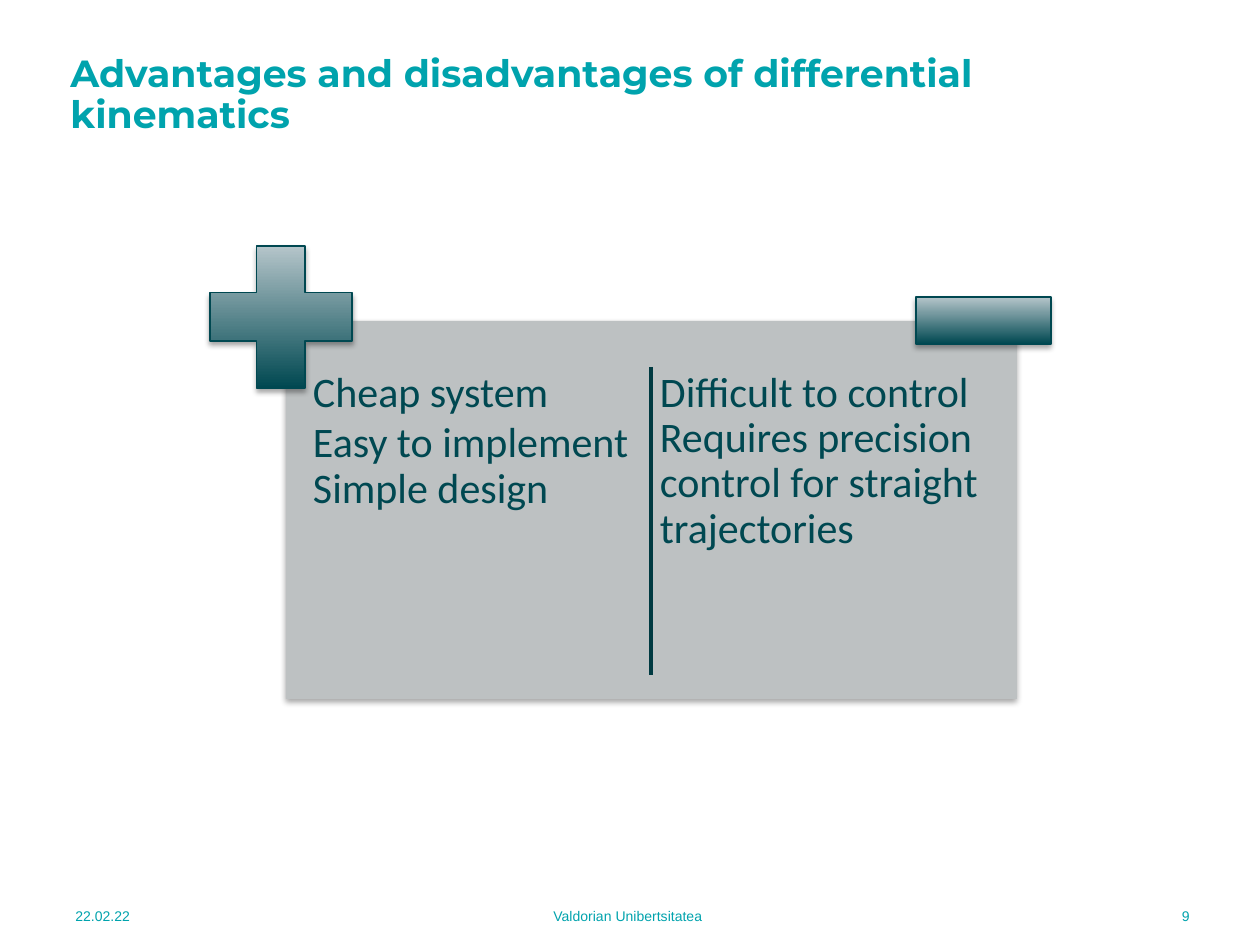
from dataclasses import dataclass

import pptx
import pptx.dml.color
import pptx.enum.shapes
import pptx.enum.text
import pptx.oxml
import pptx.oxml.ns
import pptx.util

PX = 914400 / 126
HUES = {"teal": "00A3AD", "deep": "004851", "rule": "003A41",
        "pale": "B5C5CA", "panel": "BDC1C2"}
KIND = pptx.enum.shapes.MSO_SHAPE
ALIGN = pptx.enum.text.PP_ALIGN
ANCHOR = pptx.enum.text.MSO_ANCHOR
SHADOW = (
    f'<a:outerShdw {pptx.oxml.ns.nsdecls("a")} blurRad="39370" dist="22860" '
    'dir="5400000" rotWithShape="0"><a:srgbClr val="000000">'
    '<a:alpha val="35000"/></a:srgbClr></a:outerShdw>'
)


@dataclass
class Box:
    left: int
    top: int
    width: int
    height: int


@dataclass
class Sign:
    kind: KIND
    box: Box


@dataclass
class Foot:
    text: str
    box: Box
    align: ALIGN


@dataclass
class Column:
    lines: list[str]
    left: int


def emu(size: int) -> int:
    return round(size * PX)


def place(box: Box) -> list[int]:
    return [emu(n) for n in (box.left, box.top, box.width, box.height)]


def hue(name: str) -> pptx.dml.color.RGBColor:
    return pptx.dml.color.RGBColor.from_string(HUES[name])


def write(slide, lines: list[str], box: Box, *, size: float, font: str,
          color: str, bold: bool = False, align: ALIGN = ALIGN.LEFT,
          anchor: ANCHOR = ANCHOR.MIDDLE, inset: int | None = None,
          pitch: float = 1.0, after: float = 0) -> None:
    frame = slide.shapes.add_textbox(*place(box)).text_frame
    frame.word_wrap = True
    frame.vertical_anchor = anchor
    if inset is not None:
        frame.margin_left = frame.margin_right = emu(inset)
        frame.margin_top = frame.margin_bottom = emu(inset)
    frame.text = "\n".join(lines)
    for par in frame.paragraphs:
        par.alignment = align
        par.line_spacing = pitch
        par.space_after = pptx.util.Pt(after)
        for run in par.runs:
            run.font.size = pptx.util.Pt(size)
            run.font.name = font
            run.font.bold = bold
            run.font.color.rgb = hue(color)


def shape(slide, kind: KIND, box: Box):
    item = slide.shapes.add_shape(kind, *place(box))
    item.shadow.inherit = False
    glow = item.element.spPr.find(pptx.oxml.ns.qn("a:effectLst"))
    glow.append(pptx.oxml.parse_xml(SHADOW))
    return item


def panel(slide, box: Box) -> None:
    item = shape(slide, KIND.RECTANGLE, box)
    item.fill.solid()
    item.fill.fore_color.rgb = hue("panel")
    item.line.fill.background()


def sign(slide, mark: Sign) -> None:
    item = shape(slide, mark.kind, mark.box)
    if mark.kind == KIND.CROSS:
        item.adjustments[0] = 0.33
    item.fill.gradient()
    item.fill.gradient_angle = 90
    for stop, name, spot in zip(item.fill.gradient_stops, ("deep", "pale"), (0, 1)):
        stop.color.rgb = hue(name)
        stop.position = spot
    item.line.color.rgb = hue("deep")
    item.line.width = pptx.util.Pt(0.75)


def rule(slide, x: int, top: int, bottom: int) -> None:
    line = slide.shapes.add_connector(
        pptx.enum.shapes.MSO_CONNECTOR.STRAIGHT,
        emu(x), emu(top), emu(x), emu(bottom))
    line.line.color.rgb = hue("rule")
    line.line.width = pptx.util.Pt(2)
    line.element.spPr.append(pptx.oxml.parse_xml(
        f'<a:effectLst {pptx.oxml.ns.nsdecls("a")}/>'))


FEET = [
    Foot("22.02.22", Box(63, 891, 163, 50), ALIGN.LEFT),
    Foot("Valdorian Unibertsitatea", Box(299, 891, 658, 50), ALIGN.CENTER),
    Foot("9", Box(1041, 891, 161, 50), ALIGN.RIGHT),
]
COLUMNS = [
    Column(["Cheap system", "Easy to implement\vSimple design"], 307),
    Column(["Difficult to control\vRequires precision control "
            "for straight trajectories"], 654),
]
SIGNS = [
    Sign(KIND.CROSS, Box(210, 246, 142, 142)),
    Sign(KIND.RECTANGLE, Box(916, 297, 135, 47)),
]


def main() -> None:
    deck = pptx.Presentation()
    deck.slide_width, deck.slide_height = emu(1260), emu(945)
    slide = deck.slides.add_slide(deck.slide_layouts[6])
    for foot in FEET:
        write(slide, [foot.text], foot.box, size=8, font="Arial",
              color="teal", align=foot.align)
    write(slide, ["Advantages and disadvantages of differential kinematics"],
          Box(58, 66, 1056, 59), size=21.6, font="Montserrat",
          color="teal", bold=True, pitch=0.9)
    panel(slide, Box(286, 321, 731, 378))
    for col in COLUMNS:
        write(slide, col.lines, Box(col.left, 365, 339, 323), size=24,
              font="Calibri", color="deep", anchor=ANCHOR.TOP,
              inset=6, pitch=0.9, after=3)
    for mark in SIGNS:
        sign(slide, mark)
    rule(slide, 651, 367, 675)
    deck.save("out.pptx")


if __name__ == "__main__":
    main()
